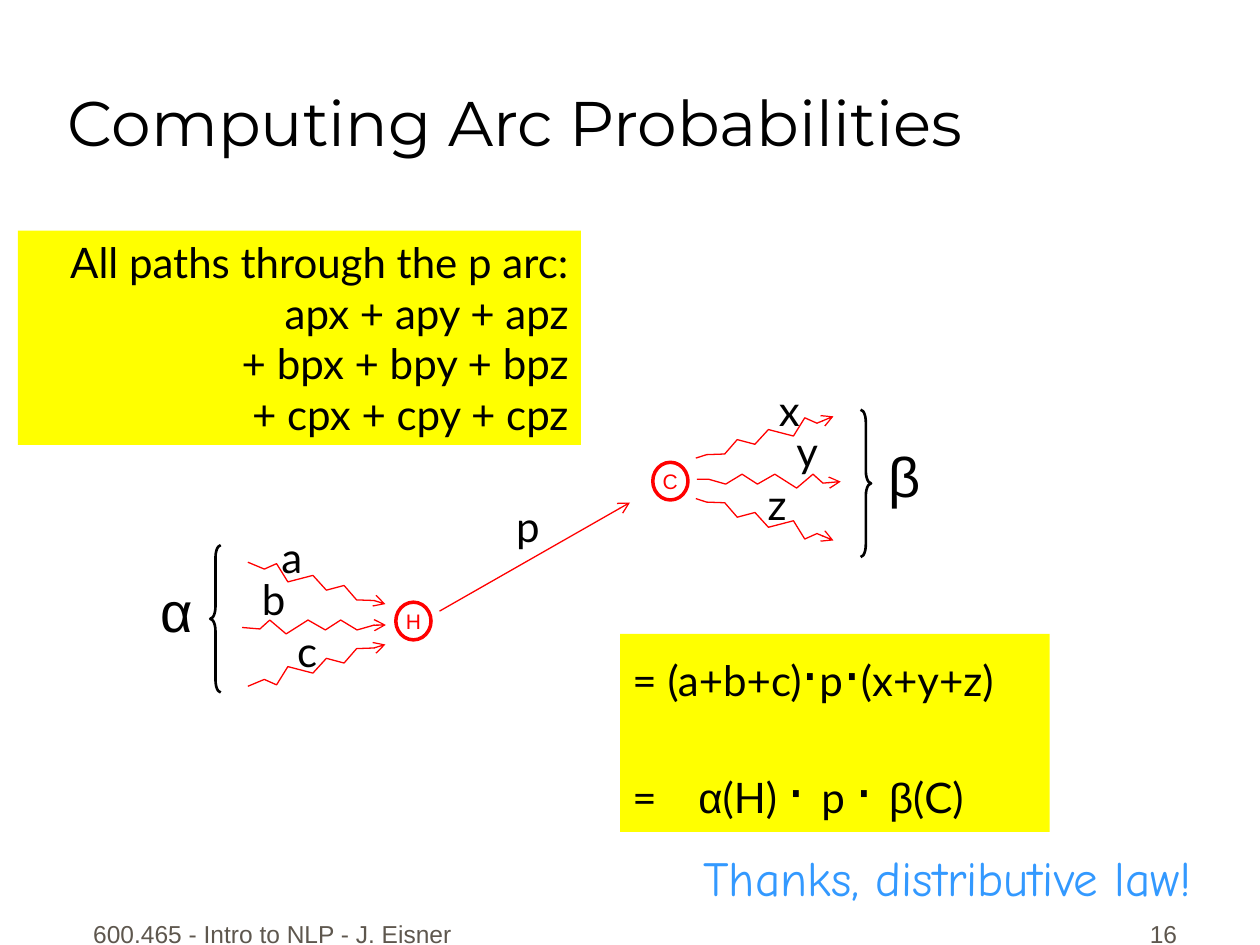
import pptx
import pptx.dml.color
import pptx.enum.shapes
import pptx.enum.text
import pptx.oxml.ns
import pptx.util
from lxml import etree

Cm, Pt = pptx.util.Cm, pptx.util.Pt
SHAPE = pptx.enum.shapes.MSO_SHAPE
ALIGN = pptx.enum.text.PP_ALIGN
ANCHOR = pptx.enum.text.MSO_ANCHOR

COLORS = {"ink": "000000", "arc": "FF0000", "panel": "FFFF00",
          "footer": "5E574E", "remark": "3399FF"}

# Zigzag of one path, in cm from the corner of its frame
ZIGZAG = [(0, 0.1), (0.23, 0.1), (0.58, 0.2), (0.91, 0), (1.22, 0.2),
          (1.57, 0), (2.01, 0.28), (2.34, 0), (2.54, 0.18), (2.9, 0.15)]
ZIGZAG_W, ZIGZAG_H = 2.9, 0.28
TILT = 17.9


def rgb(name):
    return pptx.dml.color.RGBColor.from_string(COLORS[name])


def sub(parent, tag, **attrs):
    return etree.SubElement(parent, pptx.oxml.ns.qn(tag), attrs)


def add_text(s, box, paragraphs, size=24, font="Lato", color="ink", align=ALIGN.LEFT,
             anchor=ANCHOR.TOP, wrap=True, fill=None, shape=None, before=0, tab=None):
    """Each paragraph is a string or a list of (text, size, font) runs."""
    place = [Cm(v) for v in box]
    sp = s.shapes.add_shape(shape, *place) if shape else s.shapes.add_textbox(*place)
    if fill:
        sp.fill.solid()
        sp.fill.fore_color.rgb = rgb(fill)
    else:
        sp.fill.background()
    tf = sp.text_frame
    tf.word_wrap = wrap
    tf.vertical_anchor = anchor
    for i, runs in enumerate(paragraphs):
        p = tf.add_paragraph() if i else tf.paragraphs[0]
        p.alignment = align
        p.space_before = Pt(before)
        if tab:
            tabs = sub(p._p.get_or_add_pPr(), "a:tabLst")
            sub(tabs, "a:tab", pos=str(Cm(tab)), algn="l")
        for words, r_size, r_font in [(runs, size, font)] if isinstance(runs, str) else runs:
            r = p.add_run()
            r.text = words
            r.font.size = Pt(r_size)
            r.font.name = r_font
            r.font.color.rgb = rgb(color)
    return sp


def set_line(sp, color, width, arrow=None):
    sp.line.color.rgb = rgb(color)
    sp.line.width = Pt(width)
    if arrow:
        sub(sp.line._get_or_add_ln(), arrow, type="arrow")


def add_state(s, box, name):
    sp = add_text(s, box, [name], size=12, font="Arial", color="arc", align=ALIGN.CENTER,
                  anchor=ANCHOR.MIDDLE, wrap=False, shape=SHAPE.OVAL)
    sp.shadow.inherit = False
    set_line(sp, "arc", 2)


def add_zigzag(s, x, y, rotation, mirror_x, mirror_y):
    points = [(Cm(x + (ZIGZAG_W - dx if mirror_x else dx)),
               Cm(y + (ZIGZAG_H - dy if mirror_y else dy))) for dx, dy in ZIGZAG]
    builder = s.shapes.build_freeform(*points[0])
    builder.add_line_segments(points[1:], close=False)
    sp = builder.convert_to_shape()
    sp.fill.background()
    sp.shadow.inherit = False
    sp.rotation = rotation % 360
    set_line(sp, "arc", 0.75, "a:headEnd" if mirror_x else "a:tailEnd")


def add_fan(s, box, labels, brace, greek, inward=False):
    """Three zigzag paths with labels, gathered by a brace and a Greek letter."""
    x, y = box
    turn = TILT if inward else -TILT
    nudge = -0.05 if inward else 0.08
    for dx, dy, rotation in [(nudge, 0.87, 0), (0, 0, turn), (0, 1.63, -turn)]:
        add_zigzag(s, x + dx, y + dy, rotation, inward, dy > 1)
    for name, dx, dy in labels:
        add_text(s, (x + dx, y + dy, 0.95, 1.27), [name], align=ALIGN.CENTER, wrap=False)
    # Brace and its sum
    dx, dy = brace
    sp = s.shapes.add_shape(SHAPE.LEFT_BRACE if inward else SHAPE.RIGHT_BRACE,
                            Cm(x + dx), Cm(y + dy), Cm(0.21), Cm(2.97))
    sp.adjustments[0] = 1.2
    sp.fill.background()
    sp.shadow.inherit = False
    set_line(sp, "ink", 1.5)
    name, dx, dy = greek
    add_text(s, (x + dx, y + dy, 1.17, 1.63), [name], size=32, font="Arial",
             align=ALIGN.CENTER, wrap=False)


def add_arc(s, box):
    """The arc p from state H up to state C."""
    x, y, w, h = box
    add_state(s, (x - 0.88, y + h - 0.18, 0.71, 0.76), "H")
    add_state(s, (x + w + 0.46, y - 0.81, 0.71, 0.76), "C")
    cx = s.shapes.add_connector(pptx.enum.shapes.MSO_CONNECTOR.STRAIGHT,
                                Cm(x), Cm(y + h), Cm(x + w), Cm(y))
    set_line(cx, "arc", 0.75, "a:tailEnd")
    sub(cx._element.spPr, "a:effectLst")
    add_text(s, (x + 1.27, y - 0.17, 1.02, 1.27), ["p"], align=ALIGN.CENTER, wrap=False)


def add_formulas(s, paths_box, product_box):
    add_text(s, paths_box, ["All paths through the p arc:", "apx + apy + apz",
                            "+ bpx + bpy + bpz", "+ cpx + cpy + cpz"],
             align=ALIGN.RIGHT, fill="panel")
    lato, arial, dot = (24, "Lato"), (24, "Arial"), (32, "Arial")
    sp = add_text(s, product_box, [
        [("= (a+b+c)", *lato), ("⋅", *dot), ("p", *lato), ("⋅", *dot), ("(x+y+z)", *lato)],
        [("=\t", *lato), ("α", *arial), ("(H) ", *lato), ("⋅ ", *dot), ("p ", *lato),
         ("⋅ ", *dot), ("β", *arial), ("(C)", *lato)]], fill="panel", tab=1.33)
    sp.text_frame.paragraphs[1].space_before = Pt(28.8)


def add_footer(s, box):
    x, y, w, h = box
    style = dict(size=14, font="Arial", color="footer", anchor=ANCHOR.BOTTOM, before=8.8)
    add_text(s, (x, y, 8.05, h), ["600.465 - Intro to NLP - J. Eisner"],
             align=ALIGN.CENTER, wrap=False, **style)
    add_text(s, (x + w - 5.28, y, 5.28, h), ["16"], align=ALIGN.RIGHT, **style)


def main():
    prs = pptx.Presentation()
    prs.slide_width, prs.slide_height = Cm(25.4), Cm(19.05)
    s = prs.slides.add_slide(prs.slide_layouts[6])

    # Title and footer
    add_text(s, (1.12, 0.15, 23.65, 3.18), ["Computing Arc Probabilities"], size=36,
             font="Montserrat", anchor=ANCHOR.BOTTOM)
    add_footer(s, (1.47, 17.98, 22.51, 1.27))

    # Path diagram
    add_arc(s, (8.86, 10.13, 3.84, 2.19))
    add_fan(s, (13.97, 8.69), [("x", 1.47, -1.07), ("y", 1.83, -0.23), ("z", 1.22, 0.84)],
            (3.38, -0.43), ("β", 3.68, 0.08))
    add_fan(s, (4.93, 11.63), [("a", 0.48, -1.04), ("b", 0.1, -0.2), ("c", 0.79, 0.86)],
            (-0.69, -0.64), ("α", -1.96, -0.13), inward=True)

    # Formulas and remark
    add_formulas(s, (0.36, 4.65, 11.35, 4.32), (12.5, 12.78, 8.66, 3.99))
    add_text(s, (13.92, 16.97, 10.36, 1.45), ["Thanks, distributive law!"], size=28,
             font="Comic Neue", color="remark", align=ALIGN.CENTER, wrap=False)
    prs.save("out.pptx")


if __name__ == "__main__":
    main()
